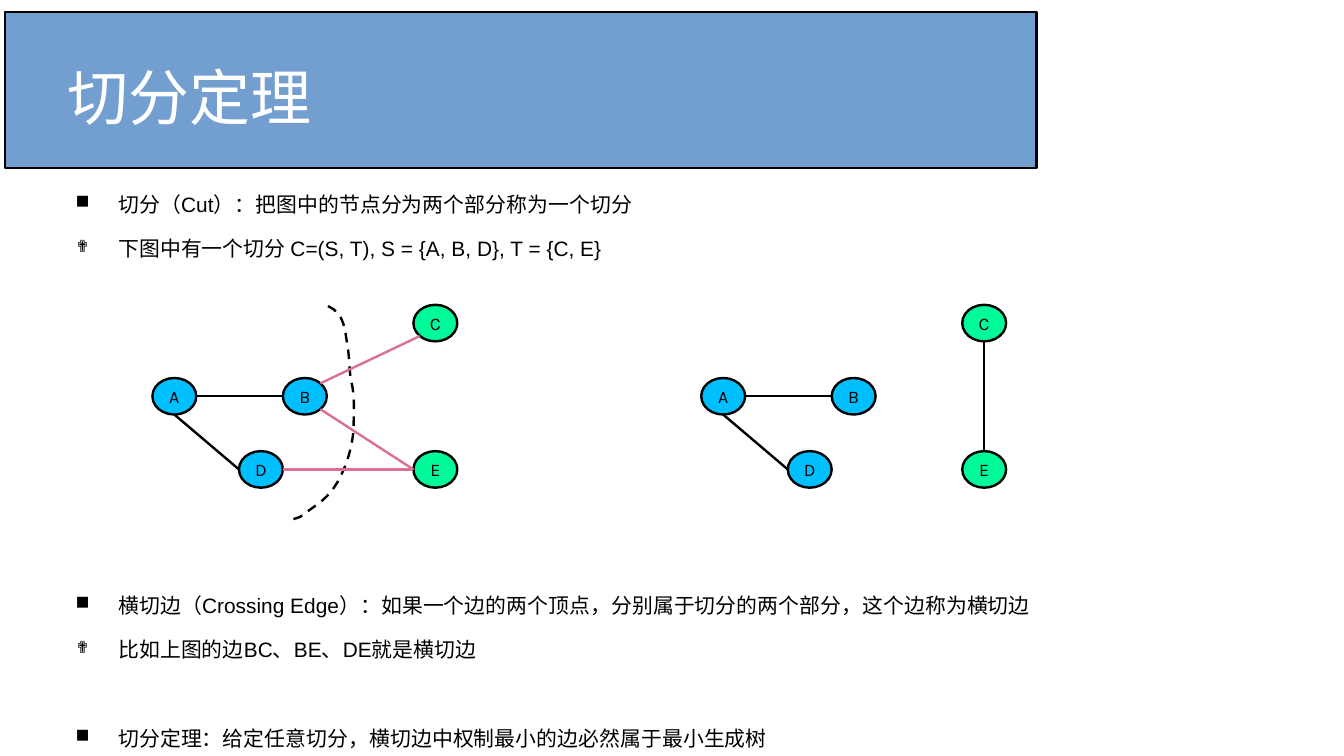
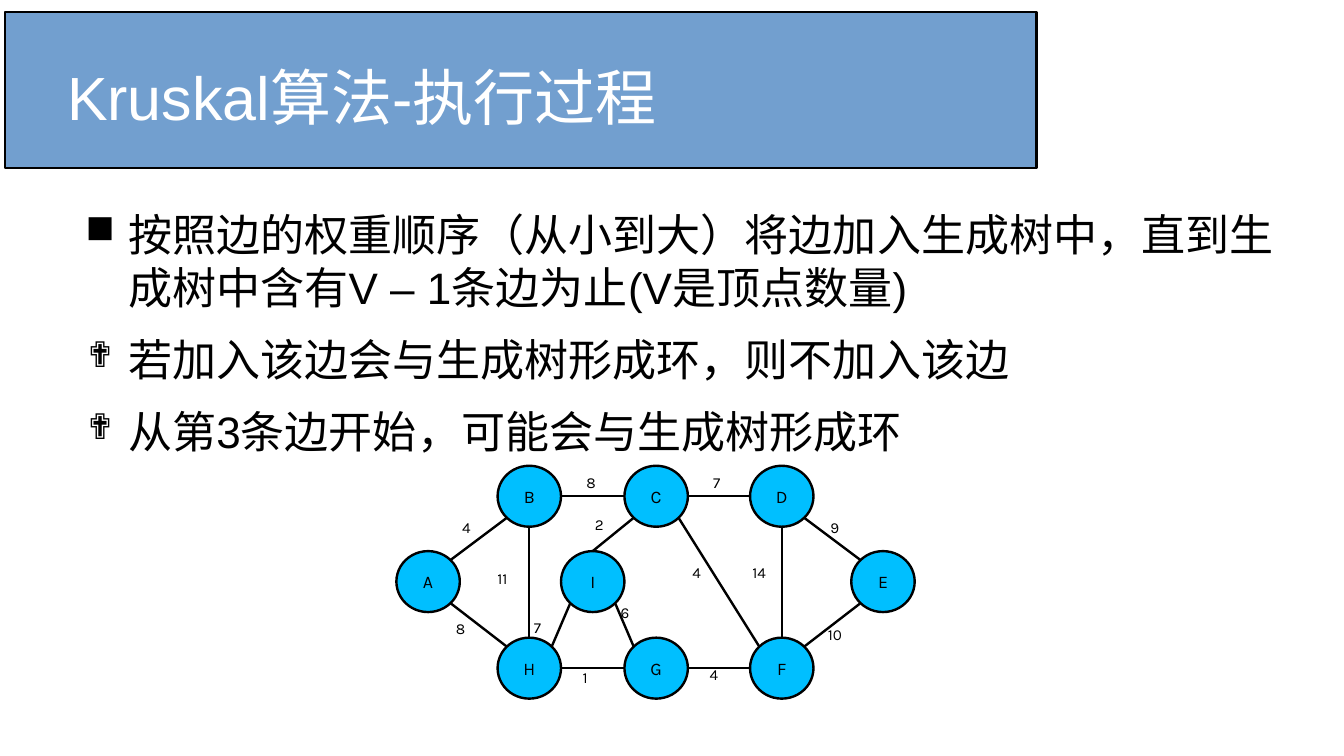
import dataclasses
import math

import lxml.etree
import pptx
import pptx.dml.color
import pptx.enum.dml
import pptx.enum.shapes
import pptx.enum.text
import pptx.oxml.ns
import pptx.util

Inches = pptx.util.Inches
Pt = pptx.util.Pt
qn = pptx.oxml.ns.qn


@dataclasses.dataclass(frozen=True)
class Theme:
    band: str = "729FCF"
    blue: str = "00BFFF"
    green: str = "00FA9A"
    pink: str = "DB7093"
    black: str = "000000"
    white: str = "FFFFFF"
    font: str = "Arial"
    mark: str = "Karla"
    title: float = 36
    large: float = 26
    small: float = 12.3
    node: float = 10.5
    weight: float = 9
    line: float = 1.42
    after: float = 11.5


THEME = Theme()
SQUARE = ("■", 90)
CROSS = ("✟", 80)


def color(code):
    return pptx.dml.color.RGBColor.from_string(code)


def style(para, name, size, code=THEME.black):
    para.font.name = name
    para.font.size = Pt(size)
    para.font.color.rgb = color(code)


def stroke(line, code=THEME.black):
    line.color.rgb = color(code)
    line.width = Pt(THEME.line)


def box(slide, left, top, width, height, inset=True):
    frame = slide.shapes.add_textbox(
        Inches(left), Inches(top), Inches(width), Inches(height)
    ).text_frame
    frame.word_wrap = True
    if not inset:
        frame.margin_left = frame.margin_right = 0
        frame.margin_top = frame.margin_bottom = 0
    return frame


def solid(slide, kind, left, top, width, height, fill):
    shape = slide.shapes.add_shape(
        kind, Inches(left), Inches(top), Inches(width), Inches(height)
    )
    shape.shadow.inherit = False
    shape.fill.solid()
    shape.fill.fore_color.rgb = color(fill)
    stroke(shape.line)
    return shape


def page(deck, title):
    slide = deck.slides.add_slide(deck.slide_layouts[6])
    kind = pptx.enum.shapes.MSO_SHAPE.RECTANGLE
    solid(slide, kind, 0.04, 0.1, 8.46, 1.28, THEME.band)
    frame = box(slide, 0.55, 0.3, 7.68, 0.98, inset=False)
    frame.vertical_anchor = pptx.enum.text.MSO_ANCHOR.MIDDLE
    frame.text = title
    style(frame.paragraphs[0], THEME.font, THEME.title, THEME.white)
    return slide


def bullet(para, sign, scale):
    props = para._p.get_or_add_pPr()
    props.set("marL", str(Inches(0.47)))
    props.set("indent", str(Inches(-0.35)))
    tint = lxml.etree.SubElement(props, qn("a:buClr"))
    lxml.etree.SubElement(tint, qn("a:srgbClr"), val=THEME.black)
    lxml.etree.SubElement(props, qn("a:buSzPct"), val=str(scale * 1000))
    lxml.etree.SubElement(props, qn("a:buChar"), char=sign)


def points(slide, left, top, width, height, size, items):
    frame = box(slide, left, top, width, height, inset=False)
    for index, (mark, text) in enumerate(items):
        para = frame.add_paragraph() if index else frame.paragraphs[0]
        para.text = text
        bullet(para, *mark)
        para.space_after = Pt(THEME.after)
        style(para, THEME.font, size)


def node(slide, name, left, top, size, fill):
    kind = pptx.enum.shapes.MSO_SHAPE.OVAL
    frame = solid(slide, kind, left, top, *size, fill).text_frame
    frame.word_wrap = False
    frame.vertical_anchor = pptx.enum.text.MSO_ANCHOR.MIDDLE
    frame.text = name
    para = frame.paragraphs[0]
    para.alignment = pptx.enum.text.PP_ALIGN.CENTER
    style(para, THEME.mark, THEME.node)


def site(spot, size, step):
    angle = math.radians(90 + 45 * step)
    x = spot[0] + size[0] / 2 * (1 + math.cos(angle))
    y = spot[1] + size[1] / 2 * (1 - math.sin(angle))
    return Inches(x), Inches(y)


def edge(slide, start, end, code):
    kind = pptx.enum.shapes.MSO_CONNECTOR.STRAIGHT
    link = slide.shapes.add_connector(kind, *start, *end)
    stroke(link.line, code)
    lxml.etree.SubElement(link._element.spPr, qn("a:effectLst"))


def graph(slide, spots, size, edges, greens="", pinks=()):
    for name, spot in spots.items():
        fill = THEME.green if name in greens else THEME.blue
        node(slide, name, *spot, size, fill)
    for pair in edges.split():
        head, out, tail, into = pair
        code = THEME.pink if head + tail in pinks else THEME.black
        start = site(spots[head], size, int(out))
        end = site(spots[tail], size, int(into))
        edge(slide, start, end, code)


def bezier(ends, steps=8):
    for step in range(1, steps + 1):
        t = step / steps
        parts = ((1 - t) ** 3, 3 * t * (1 - t) ** 2, 3 * t * t * (1 - t), t**3)
        yield tuple(
            Inches(sum(part * end[axis] for part, end in zip(parts, ends)))
            for axis in (0, 1)
        )


def curve(slide, start, bends, tail):
    build = slide.shapes.build_freeform(Inches(start[0]), Inches(start[1]))
    for bend in bends:
        build.add_line_segments(list(bezier((start, *bend))), close=False)
        start = bend[-1]
    ends = [(Inches(x), Inches(y)) for x, y in tail]
    build.add_line_segments(ends, close=False)
    shape = build.convert_to_shape()
    shape.shadow.inherit = False
    shape.fill.background()
    stroke(shape.line)
    shape.line.dash_style = pptx.enum.dml.MSO_LINE.DASH


def weight(slide, text, left, top):
    frame = box(slide, left, top, 0.26 + 0.1 * len(text), 0.32)
    frame.text = text
    style(frame.paragraphs[0], THEME.mark, THEME.weight)


def cut(deck):
    slide = page(deck, "切分定理")
    groups = (
        (1.57, 0.65, (
            (SQUARE, "切分（Cut）：把图中的节点分为两个部分称为一个切分"),
            (CROSS, "下图中有一个切分 C=(S, T), S = {A, B, D}, T = {C, E}"),
        )),
        (4.86, 0.65, (
            (SQUARE, "横切边（Crossing Edge）：如果一个边的两个顶点，"
                     "分别属于切分的两个部分，这个边称为横切边"),
            (CROSS, "比如上图的边BC、BE、DE就是横切边"),
        )),
        (5.95, 0.24, (
            (SQUARE, "切分定理：给定任意切分，横切边中权制最小的边必然属于最小生成树"),
        )),
    )
    for top, height, items in groups:
        points(slide, 0.5, top, 9.84, height, THEME.small, items)
    bends = (
        ((2.83, 2.57), (2.83, 2.72), (2.85, 2.84)),
        ((2.87, 2.95), (2.86, 3.06), (2.89, 3.17)),
        ((2.91, 3.29), (2.9, 3.41), (2.9, 3.52)),
        ((2.89, 3.64), (2.86, 3.76), (2.81, 3.87)),
        ((2.76, 3.99), (2.68, 4.09), (2.57, 4.16)),
    )
    curve(slide, (2.69, 2.51), bends, ((2.46, 4.24), (2.4, 4.26)))
    spots = {
        "A": (1.25, 3.1), "B": (2.32, 3.1), "C": (3.39, 2.5),
        "D": (1.96, 3.7), "E": (3.39, 3.7),
    }
    size = (0.36, 0.3)
    cross = ("BC", "BE", "DE")
    graph(slide, spots, size, "B7C3 A6B2 B5E2 D6E2 D2A4", "CE", cross)
    moved = {name: (x + 4.5, y) for name, (x, y) in spots.items()}
    graph(slide, moved, size, "C4E0 A6B2 D2A4", "CE")


def kruskal(deck):
    slide = page(deck, "Kruskal算法-执行过程")
    points(slide, 0.58, 1.7, 9.92, 1.8, THEME.large, (
        (SQUARE, "按照边的权重顺序（从小到大）将边加入生成树中，"
                 "直到生成树中含有V – 1条边为止(V是顶点数量)"),
        (CROSS, "若加入该边会与生成树形成环，则不加入该边"),
        (CROSS, "从第3条边开始，可能会与生成树形成环"),
    ))
    high, mid, low = 3.82, 4.52, 5.23
    spots = {"A": (3.25, mid), "I": (4.6, mid), "E": (6.98, mid)}
    for x, upper, lower in zip((4.08, 5.12, 6.15), "BCD", "HGF"):
        spots[upper] = (x, high)
        spots[lower] = (x, low)
    edges = (
        "A7B3 B6C2 C6D2 D5E1 E3F7 F2G6 G2H6 "
        "H1A5 B4H0 H7I3 I5G1 I0C3 C5F1 D4F0"
    )
    graph(slide, spots, (0.52, 0.5), edges)
    for text, left, top in (
        ("4", 3.69, 4.2), ("8", 4.71, 3.83), ("7", 5.75, 3.83),
        ("9", 6.71, 4.2), ("10", 6.69, 5.08), ("1", 4.68, 5.43),
        ("7", 4.28, 5.02), ("11", 3.98, 4.62), ("4", 5.58, 4.57),
        ("14", 6.07, 4.57), ("6", 4.99, 4.9), ("2", 4.78, 4.18),
        ("8", 3.64, 5.03), ("4", 5.72, 5.41),
    ):
        weight(slide, text, left, top)


def main():
    deck = pptx.Presentation()
    deck.slide_width = Inches(11.02)
    deck.slide_height = Inches(6.2)
    cut(deck)
    kruskal(deck)
    deck.save("out.pptx")


if __name__ == "__main__":
    main()
